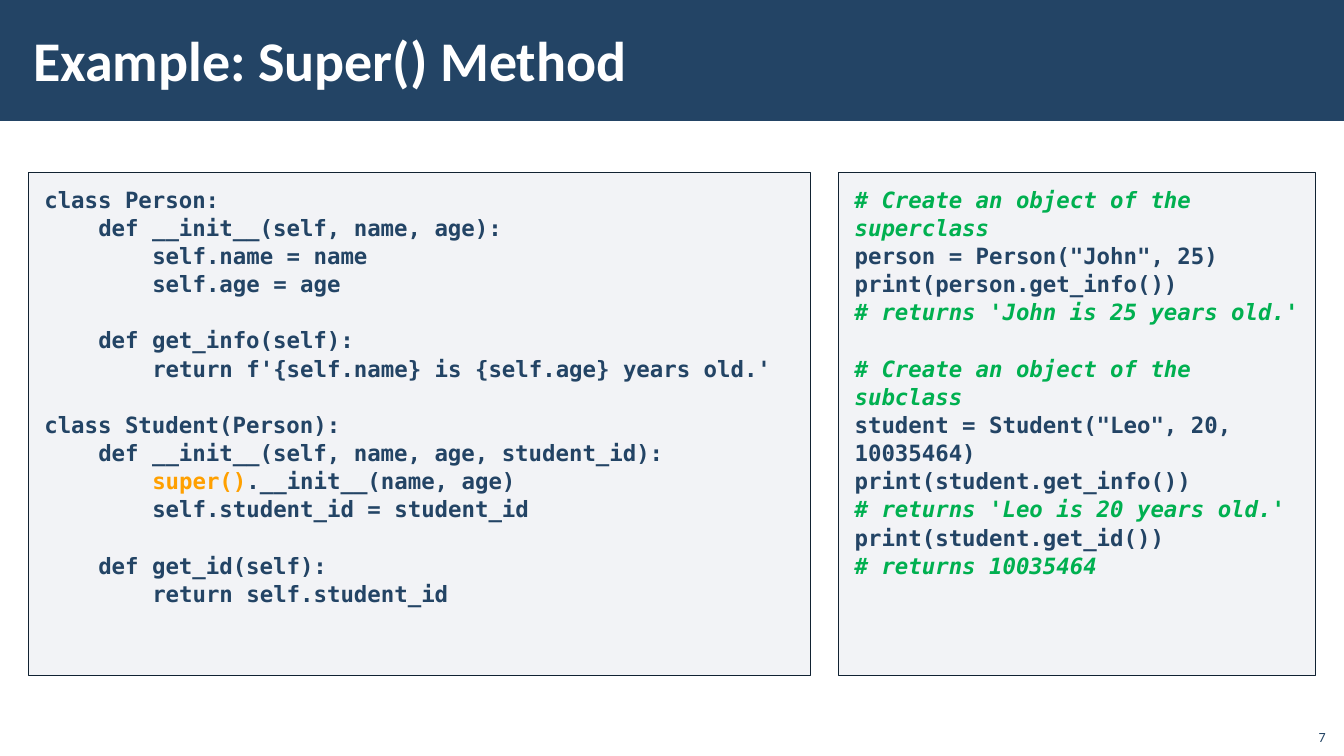
from dataclasses import dataclass
from typing import Any

import lxml.etree
import pptx
import pptx.dml.color
import pptx.enum.shapes
import pptx.enum.text
import pptx.oxml.ns
import pptx.util

Pt = pptx.util.Pt
RECT = pptx.enum.shapes.MSO_SHAPE.RECTANGLE
ANCHOR = pptx.enum.text.MSO_ANCHOR
ALIGN = pptx.enum.text.PP_ALIGN

COLORS = {
    "navy": "234465",
    "panel": "ADB4C3",
    "border": "112232",
    "comment": "00B050",
    "keyword": "FFA000",
    "white": "FFFFFF",
}
CODE_FORMAT = {"name": "DejaVu Sans Mono", "size": Pt(16), "bold": True}
TITLE_FORMAT = {"name": "Calibri", "size": Pt(40), "bold": True}
NUMBER_FORMAT = {"name": "Calibri", "size": Pt(10)}
INDENT = Pt(38.53)  # four characters of 16 pt code
GAP = Pt(20.1)  # one line of code
KEYWORD = "super()"


@dataclass
class Line:
    text: str
    level: int = 0
    gap: bool = False


@dataclass
class Panel:
    left: float
    width: float
    lines: list[Line]


@dataclass
class Label:
    text: str
    box: tuple[float, float, float, float]
    insets: tuple[float, float]
    color: str
    font: dict[str, Any]
    anchor: Any
    align: Any


def rgb(name: str) -> pptx.dml.color.RGBColor:
    return pptx.dml.color.RGBColor.from_string(COLORS[name])


def set_frame(tf: Any, x: float, y: float, anchor: Any) -> None:
    values = {
        "word_wrap": True, "vertical_anchor": anchor,
        "margin_left": Pt(x), "margin_right": Pt(x),
        "margin_top": Pt(y), "margin_bottom": Pt(y),
    }
    for key, value in values.items():
        setattr(tf, key, value)


def add_run(p: Any, text: str, color: str, font: dict[str, Any]) -> None:
    r = p.add_run()
    r.text = text
    for key, value in font.items():
        setattr(r.font, key, value)
    r.font.color.rgb = rgb(color)


def add_rect(slide: Any, box: tuple[float, float, float, float], fill: str) -> Any:
    sp = slide.shapes.add_shape(RECT, *map(Pt, box))
    sp.shadow.inherit = False
    sp.fill.solid()
    sp.fill.fore_color.rgb = rgb(fill)
    sp.line.fill.background()
    return sp


def add_code_line(p: Any, line: Line) -> None:
    p.alignment = ALIGN.LEFT
    p.line_spacing = 1.05
    p.space_before = GAP if line.gap else Pt(0)
    p._p.get_or_add_pPr().set("marL", str(INDENT * line.level))
    if line.text.startswith("#"):
        add_run(p, line.text, "comment", CODE_FORMAT | {"italic": True})
        return
    for i, part in enumerate(line.text.split(KEYWORD)):
        if i:
            add_run(p, KEYWORD, "keyword", CODE_FORMAT)
        if part:
            add_run(p, part, "navy", CODE_FORMAT)


def add_panel(slide: Any, panel: Panel) -> None:
    sp = add_rect(slide, (panel.left, 123.1, panel.width, 359.3), "panel")
    color = sp._element.spPr.find(".//" + pptx.oxml.ns.qn("a:srgbClr"))
    lxml.etree.SubElement(color, pptx.oxml.ns.qn("a:alpha"), val="15000")
    sp.line.color.rgb = rgb("border")
    sp.line.width = Pt(1)
    tf = sp.text_frame
    set_frame(tf, 11.5, 8.6, ANCHOR.TOP)
    for i, line in enumerate(panel.lines):
        add_code_line(tf.add_paragraph() if i else tf.paragraphs[0], line)


def add_label(slide: Any, label: Label) -> None:
    tf = slide.shapes.add_textbox(*map(Pt, label.box)).text_frame
    set_frame(tf, *label.insets, label.anchor)
    p = tf.paragraphs[0]
    p.alignment = label.align
    add_run(p, label.text, label.color, label.font)


CLASSES = Panel(20.2, 558.7, [
    Line("class Person:"),
    Line("def __init__(self, name, age):", 1),
    Line("self.name = name", 2),
    Line("self.age = age", 2),
    Line("def get_info(self):", 1, gap=True),
    Line("return f'{self.name} is {self.age} years old.'", 2),
    Line("class Student(Person):", gap=True),
    Line("def __init__(self, name, age, student_id):", 1),
    Line("super().__init__(name, age)", 2),
    Line("self.student_id = student_id", 2),
    Line("def get_id(self):", 1, gap=True),
    Line("return self.student_id", 2),
])
USAGE = Panel(599, 340.6, [
    Line("# Create an object of the superclass"),
    Line('person = Person("John", 25)'),
    Line("print(person.get_info())"),
    Line("# returns 'John is 25 years old.'"),
    Line("# Create an object of the subclass", gap=True),
    Line('student = Student("Leo", 20, 10035464)'),
    Line("print(student.get_info())"),
    Line("# returns 'Leo is 20 years old.'"),
    Line("print(student.get_id())"),
    Line("# returns 10035464"),
])
LABELS = [
    Label("Example: Super() Method", (15.1, 7.9, 764.6, 69.1), (8.6, 2.9),
          "white", TITLE_FORMAT, ANCHOR.MIDDLE, ALIGN.LEFT),
    Label("7", (925.2, 512.6, 28.8, 23), (7.2, 3.6),
          "navy", NUMBER_FORMAT, ANCHOR.BOTTOM, ALIGN.RIGHT),
]

prs = pptx.Presentation()
prs.slide_width, prs.slide_height = Pt(960), Pt(540)
slide = prs.slides.add_slide(prs.slide_layouts[6])

# Title band
add_rect(slide, (0, 0, 960, 86.4), "navy")

# Code panels
for panel in (CLASSES, USAGE):
    add_panel(slide, panel)

# Title and slide number
for label in LABELS:
    add_label(slide, label)

prs.save("out.pptx")
